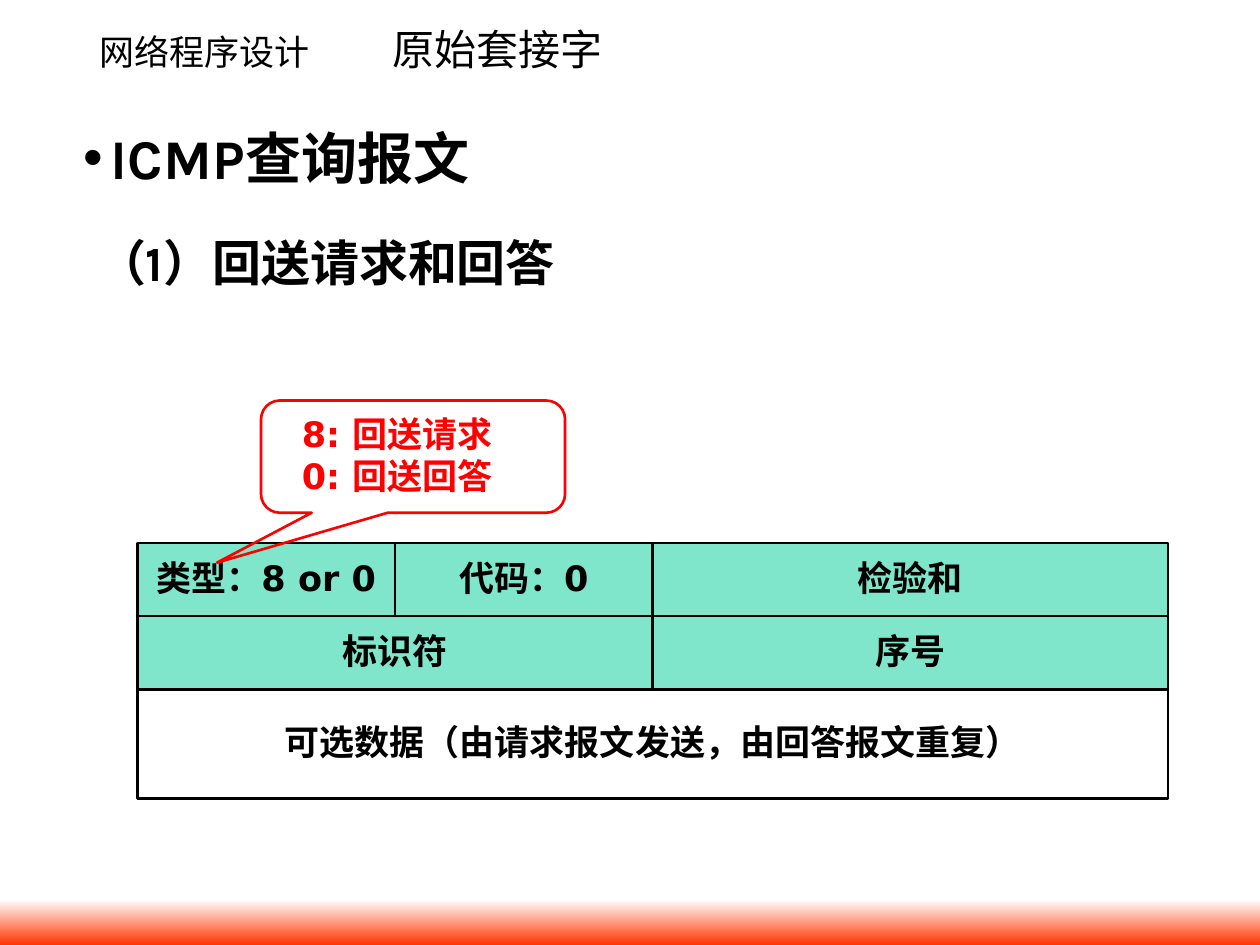
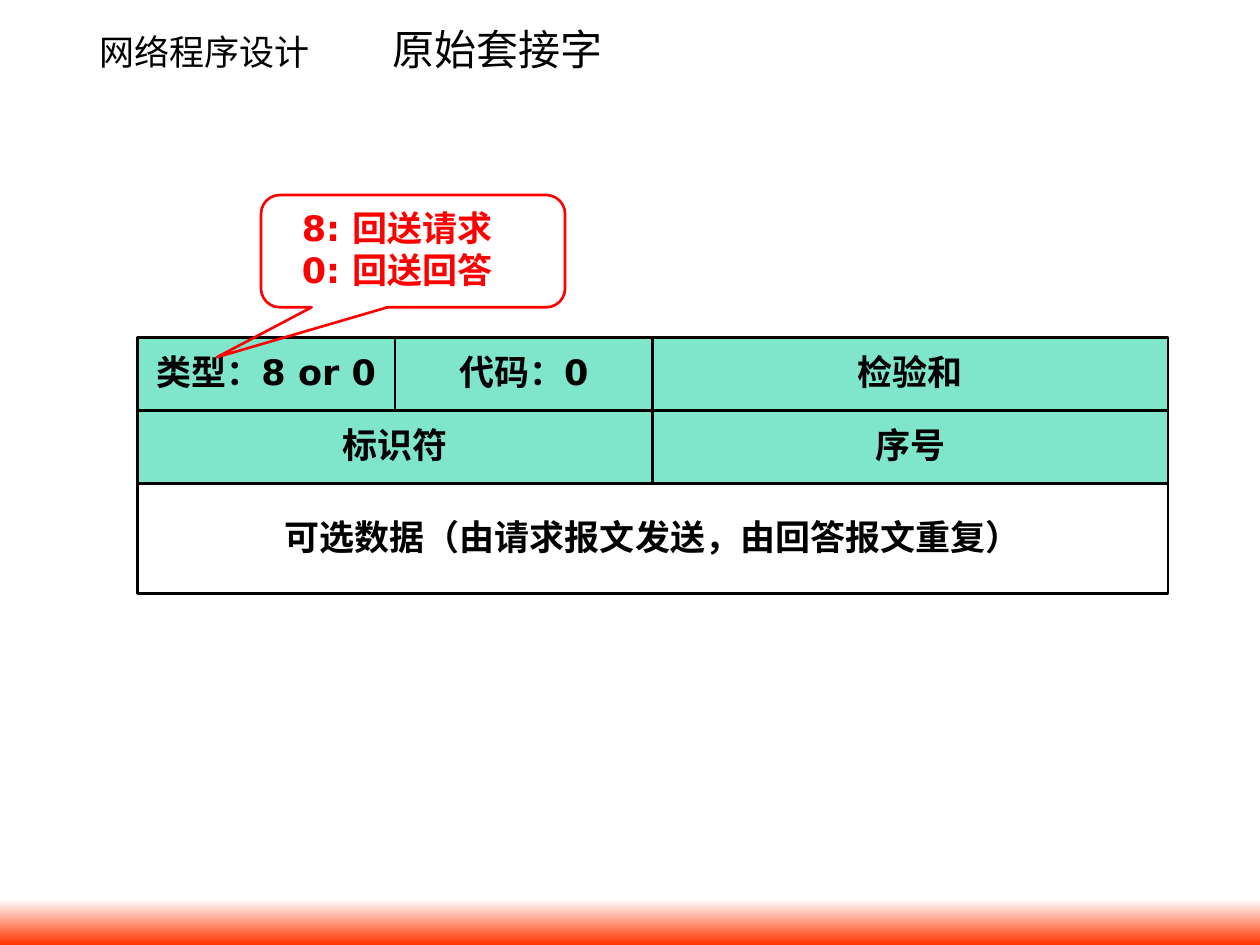
from pptx import Presentation, util as u
from pptx.dml.color import RGBColor
from pptx.enum import shapes, text
from pptx.oxml.ns import qn
from lxml import etree

COLORS = {"ink": "000000", "paper": "FFFFFF", "band": "FF3300",
          "field": "00CC99", "note": "FF0000"}
CJK = "Noto Sans CJK SC"
WIDTH, HEIGHT = u.Inches(10), u.Inches(7.5)
TABLE_LEFT, TABLE_WIDTH, TABLE_HEIGHT = 0.109, 0.818, 0.2707
COLUMNS, ROWS = 4, 7
FIELDS = [
    ("类型：8 or 0", 0, 0, 1, 2, True),
    ("代码：0", 1, 0, 1, 2, True),
    ("检验和", 2, 0, 2, 2, True),
    ("标识符", 0, 2, 2, 2, True),
    ("序号", 2, 2, 2, 2, True),
    ("可选数据（由请求报文发送，由回答报文重复）", 0, 4, 4, 3, False),
]


def rgb(name):
    """Return the named palette colour."""
    return RGBColor.from_string(COLORS[name])


def share(left, top, width, height):
    """Turn shares of the slide into a box of lengths."""
    return [int(part * side) for part, side in
            zip((left, top, width, height), (WIDTH, HEIGHT) * 2)]


def cell(box, column, row, columns, rows):
    """Return the box of a span in the message grid."""
    left, top, width, height = box
    return [int(left + column * width / COLUMNS), int(top + row * height / ROWS),
            int(columns * width / COLUMNS), int(rows * height / ROWS)]


def style(run, size, font, color="ink", bold=True, asian=CJK):
    """Format one run, including its East Asian font."""
    run.font.size, run.font.bold, run.font.name = u.Pt(size), bold, font
    run.font.color.rgb = rgb(color)
    etree.SubElement(run.font._element, qn("a:ea"), typeface=asian)


def add_outlined(slide, kind, box, color):
    """Add an unfilled shape with a thin coloured outline."""
    outlined = slide.shapes.add_shape(kind, *box)
    outlined.shadow.inherit = False
    outlined.fill.background()
    outlined.line.color.rgb = rgb(color)
    outlined.line.width = u.Pt(1.5)
    return outlined


def add_header(slide, box):
    """Add the course name and the chapter name on one line."""
    frame = slide.shapes.add_textbox(*box).text_frame
    frame.word_wrap = True
    line = frame.paragraphs[0]
    stops = etree.SubElement(line._p.get_or_add_pPr(), qn("a:tabLst"))
    etree.SubElement(stops, qn("a:tab"), pos=str(u.Inches(2.33)), algn="l")
    for words, size, font in (("网络程序设计\t", 20, "Noto Sans CJK JP"),
                              ("原始套接字", 24, CJK)):
        run = line.add_run()
        run.text = words
        style(run, size, font, bold=False, asian=font)


def add_band(slide, box):
    """Add the fading band along the bottom edge."""
    band = slide.shapes.add_shape(shapes.MSO_SHAPE.RECTANGLE, *box)
    band.shadow.inherit = False
    band.line.fill.background()
    band.fill.gradient()
    band.fill.gradient_angle = 270
    for stop, color in zip(band.fill.gradient_stops, ("paper", "band")):
        stop.color.rgb = rgb(color)


def add_field(slide, box, label, shaded):
    """Add one labelled field of the message."""
    field = add_outlined(slide, shapes.MSO_SHAPE.RECTANGLE, box, "ink")
    if shaded:
        field.fill.solid()
        field.fill.fore_color.rgb = rgb("field")
        tint = field.fill._xPr.find(qn("a:solidFill"))[0]
        etree.SubElement(tint, qn("a:alpha"), val="50000")
    frame = field.text_frame
    frame.margin_left = frame.margin_right = 0
    frame.margin_top, frame.margin_bottom = 0, u.Inches(0.04)
    frame.vertical_anchor = text.MSO_ANCHOR.MIDDLE
    frame.text = label
    frame.paragraphs[0].alignment = text.PP_ALIGN.CENTER
    style(frame.paragraphs[0].runs[0], 20, "DejaVu Sans")


def add_type_note(slide, box):
    """Add the callout that explains the type values."""
    note = add_outlined(slide, shapes.MSO_SHAPE.ROUNDED_RECTANGULAR_CALLOUT, box, "note")
    for index, value in enumerate((-0.645, 0.945, 0.167)):
        note.adjustments[index] = value
    frame = note.text_frame
    frame.margin_left, frame.margin_right = u.Inches(0.28), 0
    frame.vertical_anchor = text.MSO_ANCHOR.TOP
    frame.text = "8: 回送请求\n0: 回送回答"
    for line in frame.paragraphs:
        line.alignment = text.PP_ALIGN.LEFT
        style(line.runs[0], 20, "DejaVu Sans", "note")


def add_message(slide, box):
    """Draw the echo message format with its type note."""
    for label, column, row, columns, rows, shaded in FIELDS:
        add_field(slide, cell(box, column, row, columns, rows), label, shaded)
    add_type_note(slide, cell(box, 0.48, -3.9, 1.18, 3.07))


def fill_heading(placeholder, box, words, size, bullet=False):
    """Move a placeholder and set its bold heading."""
    placeholder.left, placeholder.top, placeholder.width, placeholder.height = box
    frame = placeholder.text_frame
    frame.text = words
    frame.word_wrap = True
    frame.auto_size = text.MSO_AUTO_SIZE.NONE
    frame.vertical_anchor = text.MSO_ANCHOR.MIDDLE
    line = frame.paragraphs[0]
    if bullet:
        properties = line._p.get_or_add_pPr()
        properties.set("marL", str(u.Inches(0.22)))
        properties.set("indent", str(-u.Inches(0.22)))
        etree.SubElement(properties, qn("a:buChar"), char="•")
    line.alignment = text.PP_ALIGN.LEFT
    line.space_before = u.Pt(0)
    style(line.runs[0], size, "Karla")


def add_message_slide(deck, layout, table_top):
    """Add a slide with the shared frame and the message format."""
    slide = deck.slides.add_slide(deck.slide_layouts[layout])
    add_header(slide, share(0.069, 0.0187, 0.858, 0.0667))
    add_band(slide, share(0, 0.952, 1, 0.048))
    add_message(slide, share(TABLE_LEFT, table_top, TABLE_WIDTH, TABLE_HEIGHT))
    return slide


def main():
    """Build and save both slides."""
    deck = Presentation()
    deck.slide_width, deck.slide_height = WIDTH, HEIGHT
    query = add_message_slide(deck, 1, 0.5747)
    fill_heading(query.shapes.title, share(0.067, 0.2267, 0.483, 0.1),
                 "（1）回送请求和回答", 28)
    fill_heading(query.placeholders[1], share(0.056, 0.116, 0.483, 0.1),
                 "ICMP查询报文", 32, bullet=True)
    add_message_slide(deck, 6, 0.3573)
    deck.save("out.pptx")


if __name__ == "__main__":
    main()
